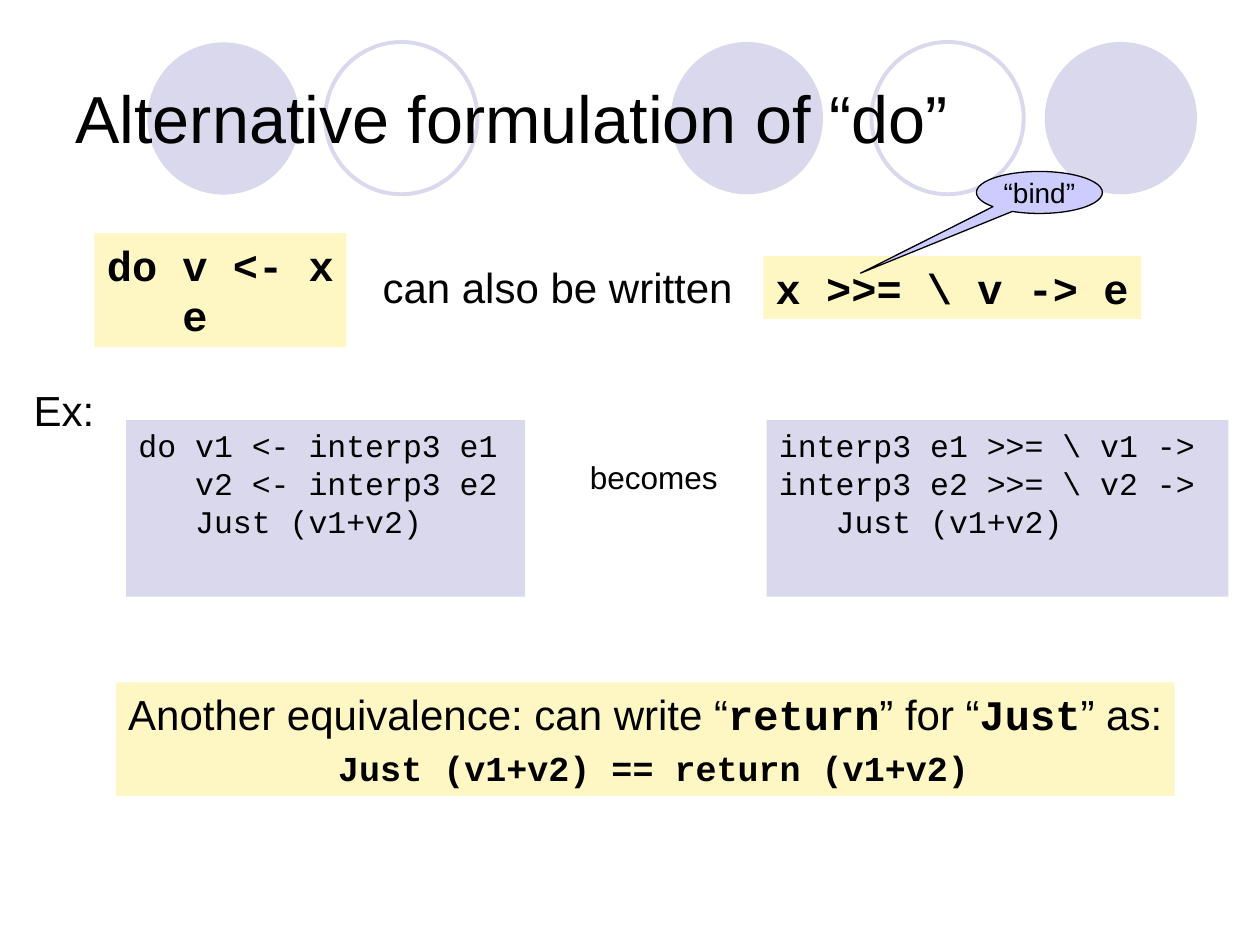
from dataclasses import dataclass

from pptx import Presentation
from pptx.dml.color import RGBColor
from pptx.enum.shapes import MSO_SHAPE
from pptx.enum.text import MSO_ANCHOR, PP_ALIGN
from pptx.shapes.autoshape import Shape
from pptx.slide import Slide
from pptx.util import Pt


@dataclass(frozen=True)
class Theme:
    ink: RGBColor = RGBColor(0x00, 0x00, 0x00)
    lavender: RGBColor = RGBColor(0xD9, 0xD8, 0xEC)
    cream: RGBColor = RGBColor(0xFF, 0xF7, 0xC3)
    periwinkle: RGBColor = RGBColor(0xCC, 0xCC, 0xFF)
    prose: str = "Arial"
    code: str = "Courier New"
    title: float = 38
    large: float = 24
    medium: float = 20
    small: float = 18
    callout: float = 16


THEME = Theme()


@dataclass(frozen=True)
class Run:
    text: str
    size: float = THEME.large
    font: str = THEME.prose
    bold: bool = False


@dataclass(frozen=True)
class Line:
    runs: tuple[Run, ...]
    indent: float = 0
    space_before: float = 0


@dataclass(frozen=True)
class Block:
    left: float
    top: float
    width: float
    height: float
    lines: tuple[Line, ...]
    fill: RGBColor | None = None
    wrap: bool = False
    anchor: MSO_ANCHOR = MSO_ANCHOR.TOP


@dataclass(frozen=True)
class Circle:
    left: float
    solid: bool
    top: float = 24
    diameter: float = 87


def prose(text: str, size: float = THEME.large) -> Line:
    return Line((Run(text, size),))


def code(text: str, size: float, bold: bool = False, columns: int = 0) -> Line:
    return Line((Run(text, size, THEME.code, bold),), indent=columns * size * 0.6)


def keyword(text: str) -> Run:
    return Run(text, font=THEME.code, bold=True)


CIRCLES = (
    Circle(383.3, True),
    Circle(597, True),
    Circle(84.2, True, top=24.2),
    Circle(498, False),
    Circle(185.8, False),
)

TITLE = Block(36, 21.6, 648, 90, (prose("Alternative formulation of “do”", THEME.title),),
              wrap=True, anchor=MSO_ANCHOR.MIDDLE)

DO_EXAMPLE = Block(72, 240, 228, 101, (
    code("do v1 <- interp3 e1", THEME.small),
    code("v2 <- interp3 e2", THEME.small, columns=3),
    code("Just (v1+v2)", THEME.small, columns=3),
), THEME.lavender, wrap=True)

DO_FORM = Block(54, 133.2, 144, 65, (
    code("do v <- x", THEME.large, bold=True),
    code("e", THEME.large, bold=True, columns=3),
), THEME.cream)

BIND_FORM = Block(436.2, 146.2, 216, 36,
                  (code("x >>= \\ v -> e", THEME.large, bold=True),), THEME.cream)

REWRITE_NOTE = Block(211.5, 145.8, 215, 36, (prose("can also be written"),))

BIND_CALLOUT = Block(558, 98, 72, 24, (prose("“bind”", THEME.callout),),
                     THEME.periwinkle, anchor=MSO_ANCHOR.MIDDLE)

EXAMPLE_LABEL = Block(12.2, 216, 49, 36, (prose("Ex:"),))

BECOMES = Block(330, 258, 90, 29, (prose("becomes", THEME.small),))

BIND_EXAMPLE = Block(438, 240, 264, 101, (
    code("interp3 e1 >>= \\ v1 ->", THEME.small),
    code("interp3 e2 >>= \\ v2 ->", THEME.small),
    code("Just (v1+v2)", THEME.small, columns=3),
), THEME.lavender, wrap=True)

EQUIVALENCE = Block(66.2, 390, 605, 65, (
    Line((
        Run("Another equivalence: can write “"), keyword("return"),
        Run("” for “"), keyword("Just"), Run("” as:"),
    )),
    Line((Run("Just (v1+v2) == return (v1+v2)", THEME.medium, THEME.code, True),),
         indent=120, space_before=4.5),
), THEME.cream)


def write(shape: Shape, block: Block, align: PP_ALIGN) -> None:
    frame = shape.text_frame
    frame_format = {
        "word_wrap": block.wrap,
        "vertical_anchor": block.anchor,
        "margin_left": Pt(7.2),
        "margin_right": Pt(7.2),
        "margin_top": Pt(3.6),
        "margin_bottom": Pt(3.6),
    }
    for name, value in frame_format.items():
        setattr(frame, name, value)
    for index, line in enumerate(block.lines):
        paragraph = frame.add_paragraph() if index else frame.paragraphs[0]
        paragraph.alignment = align
        if line.space_before:
            paragraph.space_before = Pt(line.space_before)
        if line.indent:
            paragraph._p.get_or_add_pPr().set("marL", str(Pt(line.indent)))
        for piece in line.runs:
            run = paragraph.add_run()
            run.text = piece.text
            font_format = {"name": piece.font, "size": Pt(piece.size), "bold": piece.bold}
            for name, value in font_format.items():
                setattr(run.font, name, value)
            run.font.color.rgb = THEME.ink


def draw_block(slide: Slide, block: Block) -> None:
    bounds = [Pt(n) for n in (block.left, block.top, block.width, block.height)]
    if block.fill is None:
        panel = slide.shapes.add_textbox(*bounds)
    else:
        panel = slide.shapes.add_shape(MSO_SHAPE.RECTANGLE, *bounds)
        panel.shadow.inherit = False
        panel.fill.solid()
        panel.fill.fore_color.rgb = block.fill
        panel.line.fill.background()
    write(panel, block, PP_ALIGN.LEFT)


def draw_callout(slide: Slide, block: Block) -> None:
    bounds = [Pt(n) for n in (block.left, block.top, block.width, block.height)]
    bubble = slide.shapes.add_shape(MSO_SHAPE.OVAL_CALLOUT, *bounds)
    bubble.shadow.inherit = False
    bubble.adjustments[0], bubble.adjustments[1] = -1.42, 1.92
    bubble.fill.solid()
    bubble.fill.fore_color.rgb = block.fill
    bubble.line.color.rgb = THEME.ink
    bubble.line.width = Pt(0.75)
    write(bubble, block, PP_ALIGN.CENTER)


def draw_circle(slide: Slide, circle: Circle) -> None:
    bounds = [Pt(n) for n in (circle.left, circle.top, circle.diameter, circle.diameter)]
    disc = slide.shapes.add_shape(MSO_SHAPE.OVAL, *bounds)
    disc.shadow.inherit = False
    if circle.solid:
        disc.fill.solid()
        disc.fill.fore_color.rgb = THEME.lavender
        disc.line.fill.background()
    else:
        disc.fill.background()
        disc.line.color.rgb = THEME.lavender
        disc.line.width = Pt(2.25)


def main() -> None:
    deck = Presentation()
    deck.slide_width, deck.slide_height = Pt(720), Pt(540)
    slide = deck.slides.add_slide(deck.slide_layouts[6])
    for circle in CIRCLES:
        draw_circle(slide, circle)
    for block in (TITLE, DO_EXAMPLE, DO_FORM, BIND_FORM, REWRITE_NOTE):
        draw_block(slide, block)
    draw_callout(slide, BIND_CALLOUT)
    for block in (EXAMPLE_LABEL, BECOMES, BIND_EXAMPLE, EQUIVALENCE):
        draw_block(slide, block)
    deck.save("out.pptx")


if __name__ == "__main__":
    main()
